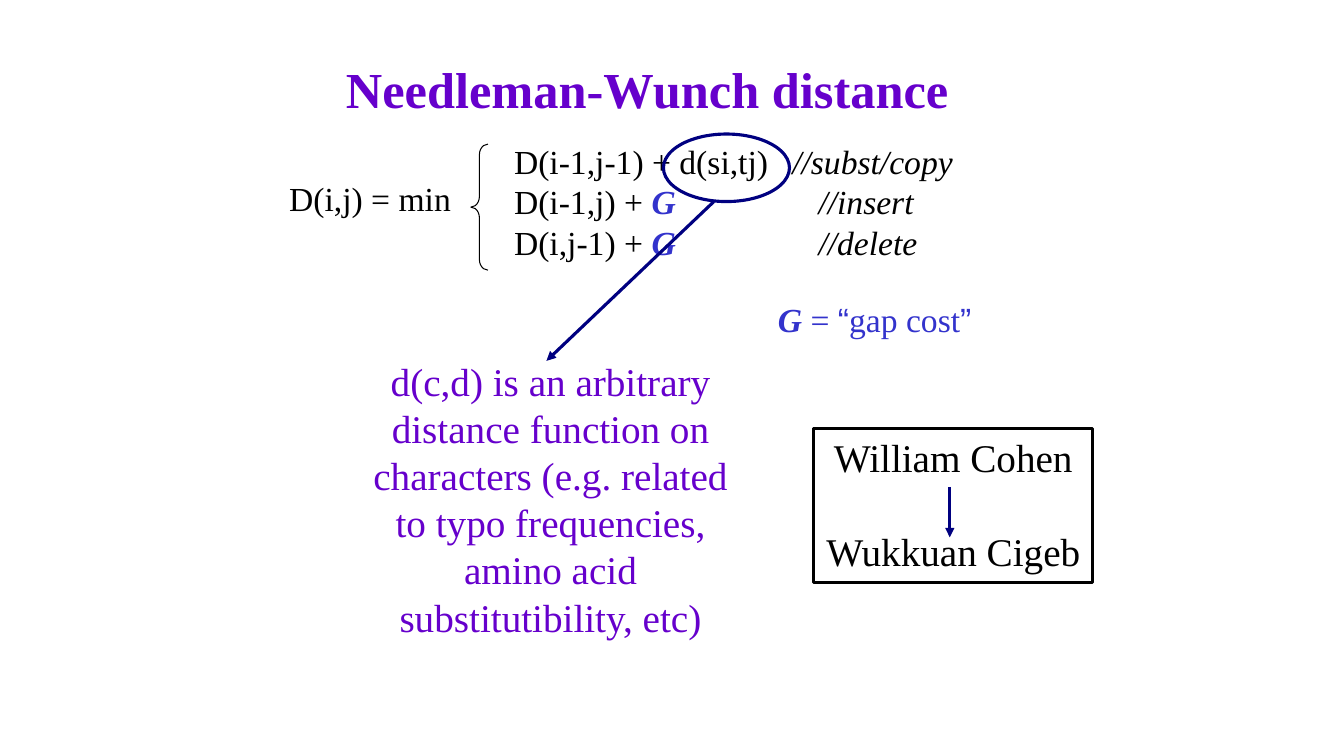
"""Build the Needleman-Wunch distance slide."""
from dataclasses import dataclass

from lxml import etree
from pptx import Presentation
from pptx.dml.color import RGBColor
from pptx.enum.shapes import MSO_CONNECTOR, MSO_SHAPE
from pptx.enum.text import MSO_ANCHOR, PP_ALIGN
from pptx.oxml.ns import qn
from pptx.util import Inches, Pt

LEFT, CENTER, RIGHT = PP_ALIGN.LEFT, PP_ALIGN.CENTER, PP_ALIGN.RIGHT
TOP, MIDDLE = MSO_ANCHOR.TOP, MSO_ANCHOR.MIDDLE
STRAIGHT = MSO_CONNECTOR.STRAIGHT
BRACE, ELLIPSE, RECTANGLE = MSO_SHAPE.LEFT_BRACE, MSO_SHAPE.OVAL, MSO_SHAPE.RECTANGLE


@dataclass(frozen=True)
class Theme:
    """Colours, fonts and sizes of the slide."""
    font: str = "Times New Roman"
    quote_font: str = "Arial"
    black: str = "000000"
    purple: str = "6600CC"
    blue: str = "3333CC"
    navy: str = "000080"
    title: float = 36
    body: float = 28
    formula: float = 24
    leading: float = 1.2
    thin: float = 0.75
    thick: float = 2.25


THEME = Theme()
PLAIN = {}
ITALIC = {"italic": True}
GAP = {"bold": True, "italic": True, "color": THEME.blue}
QUOTE = {"name": THEME.quote_font}

TITLE = [("Needleman-Wunch distance", {"bold": True})]
MINIMUM = [("D(i,j) = min", PLAIN)]
CASES = [
    ([("D(i-1,j-1) + d(si,tj)", PLAIN), ("\t//subst/copy", ITALIC)], 2.76),
    ([("D(i-1,j) + ", PLAIN), ("G", GAP), ("\t//insert", ITALIC)], 3.02),
    ([("D(i,j-1) + ", PLAIN), ("G", GAP), ("\t//delete", ITALIC)], 3.02),
]
EXPLANATION = [(
    "d(c,d) is an arbitrary distance function on characters (e.g. related to "
    "typo frequencies, amino acid substitutibility, etc)", PLAIN)]
NAMES = ["William Cohen", "Wukkuan Cigeb"]
GAP_COST = [("G ", GAP), ("= ", PLAIN), ("“", QUOTE), ("gap cost", PLAIN), ("”", QUOTE)]

TITLE_AREA = (2.17, 0.42, 8.5, 0.92)
BRACE_AREA = (4.67, 1.43, 0.17, 1.25)
MINIMUM_AREA = (2.57, 1.72, 2, 0.5)
CASES_AREA = (5, 1.35, 4.6, 1.31)
HIGHLIGHT_AREA = (6.58, 1.33, 1.25, 0.67)
EXPLANATION_AREA = (3.5, 3.5, 3.92, 2.9)
NAMES_AREA = (8.07, 4.25, 2.77, 1.53)
GAP_COST_AREA = (7.55, 2.92, 2.25, 0.5)
EXPLANATION_ARROW = (7.08, 2, 5.42, 3.58)
NAMES_ARROW = (9.42, 4.83, 9.42, 5.33)


def inches(lengths):
    return [Inches(length) for length in lengths]


def style_font(font, name=None, size=None, color=None, bold=None, italic=None):
    if name:
        font.name = name
    if size:
        font.size = Pt(size)
    if color:
        font.color.rgb = RGBColor.from_string(color)
    if bold is not None:
        font.bold = bold
    if italic is not None:
        font.italic = italic


def write_line(paragraph, parts, size, color, align, tab=None, gap=0):
    paragraph.alignment = align
    paragraph.line_spacing = Pt(size * THEME.leading)
    paragraph.space_before = Pt(gap)
    shared = parts[0][1] if len(parts) == 1 else PLAIN
    style_font(paragraph.font, **{"name": THEME.font, "size": size, "color": color, **shared})
    for text, style in parts:
        run = paragraph.add_run()
        run.text = text
        if style is not shared:
            style_font(run.font, **style)
    if tab:
        properties = paragraph._p.get_or_add_pPr()
        stops = etree.Element(qn("a:tabLst"))
        etree.SubElement(stops, qn("a:tab"), pos=str(Inches(tab)), algn="l")
        properties.find(qn("a:defRPr")).addprevious(stops)


def prepare_frame(shape, anchor=TOP):
    frame = shape.text_frame
    frame.word_wrap = True
    frame.vertical_anchor = anchor
    return frame


def add_label(slide, area, parts, size, color, align):
    frame = prepare_frame(slide.shapes.add_textbox(*inches(area)))
    write_line(frame.paragraphs[0], parts, size, color, align)


def add_outline(slide, preset, area, color, width):
    shape = slide.shapes.add_shape(preset, *inches(area))
    shape.shadow.inherit = False
    shape.fill.background()
    shape.line.color.rgb = RGBColor.from_string(color)
    shape.line.width = Pt(width)
    return shape


def add_arrow(slide, ends):
    arrow = slide.shapes.add_connector(STRAIGHT, *inches(ends))
    arrow.line.color.rgb = RGBColor.from_string(THEME.navy)
    arrow.line.width = Pt(THEME.thick)
    etree.SubElement(arrow.line._get_or_add_ln(), qn("a:tailEnd"), type="triangle")
    etree.SubElement(arrow._element.spPr, qn("a:effectLst"))


def add_title(slide):
    title = slide.shapes.title
    title.left, title.top, title.width, title.height = inches(TITLE_AREA)
    frame = prepare_frame(title, MIDDLE)
    write_line(frame.paragraphs[0], TITLE, THEME.title, THEME.purple, CENTER)


def add_cases(slide):
    frame = prepare_frame(slide.shapes.add_textbox(*inches(CASES_AREA)))
    for index, (parts, tab) in enumerate(CASES):
        paragraph = frame.add_paragraph() if index else frame.paragraphs[0]
        write_line(paragraph, parts, THEME.formula, THEME.black, LEFT, tab)


def add_names(slide):
    box = add_outline(slide, RECTANGLE, NAMES_AREA, THEME.black, THEME.thick)
    frame = prepare_frame(box)
    for index, name in enumerate(NAMES):
        paragraph = frame.add_paragraph() if index else frame.paragraphs[0]
        gap = index * THEME.body * THEME.leading
        write_line(paragraph, [(name, PLAIN)], THEME.body, THEME.black, CENTER, gap=gap)


def main():
    deck = Presentation()
    deck.slide_width, deck.slide_height = inches((13.33, 7.5))
    slide = deck.slides.add_slide(deck.slide_layouts[5])
    add_title(slide)
    brace = add_outline(slide, BRACE, BRACE_AREA, THEME.black, THEME.thin)
    brace.adjustments[0] = 0.62
    add_label(slide, MINIMUM_AREA, MINIMUM, THEME.formula, THEME.black, RIGHT)
    add_cases(slide)
    add_outline(slide, ELLIPSE, HIGHLIGHT_AREA, THEME.navy, THEME.thick)
    add_arrow(slide, EXPLANATION_ARROW)
    add_label(slide, EXPLANATION_AREA, EXPLANATION, THEME.body, THEME.purple, CENTER)
    add_names(slide)
    add_arrow(slide, NAMES_ARROW)
    add_label(slide, GAP_COST_AREA, GAP_COST, THEME.formula, THEME.blue, CENTER)
    deck.save("out.pptx")


if __name__ == "__main__":
    main()
